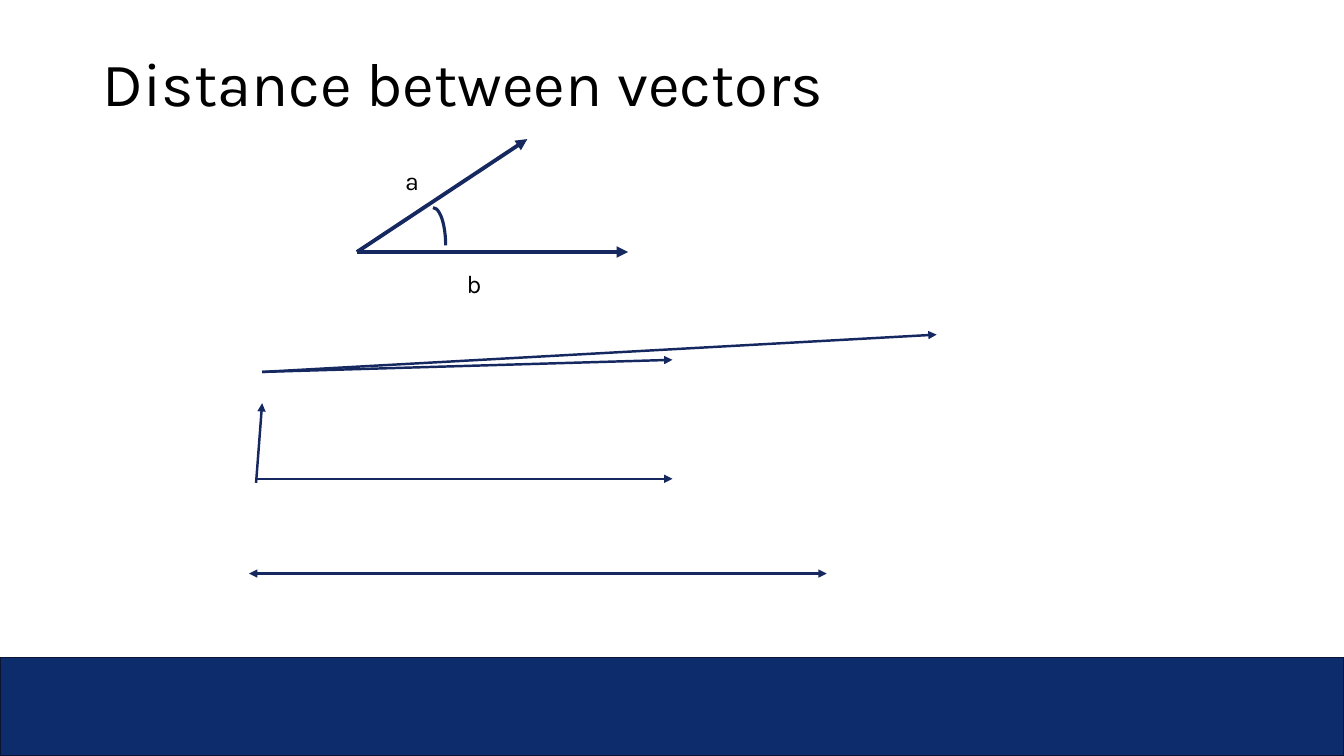
from lxml.etree import SubElement
from pptx import Presentation
from pptx.dml.color import RGBColor
from pptx.enum.shapes import MSO_CONNECTOR, MSO_SHAPE
from pptx.enum.text import MSO_ANCHOR, MSO_AUTO_SIZE, PP_ALIGN
from pptx.oxml.ns import qn
from pptx.util import Inches, Pt

TITLE = "Distance between vectors"
COLORS = {"band": "0D2C6C", "edge": "0B1430", "vector": "162860", "text": "000000"}
FONT = "Karla"
GROUPS = [
    {"width": 2.75,
     "arrows": [((3.54, 2.5), (5.23, 1.38)), ((3.54, 2.5), (6.23, 2.5))],
     "arcs": [(4.17, 2.06, 0.25, 0.75)],
     "labels": [("a", 3.92, 1.59), ("b", 4.53, 2.61)]},
    {"width": 1.75,
     "arrows": [((2.6, 3.69), (9.29, 3.32)), ((2.6, 3.69), (6.67, 3.57))]},
    {"width": 1.75,
     "arrows": [((2.54, 4.75), (6.67, 4.75)), ((2.54, 4.79), (2.6, 4))]},
    {"width": 1.75,
     "arrows": [((4.07, 5.69), (8.2, 5.69)), ((4.26, 5.69), (2.47, 5.69))]},
]


def color(name):
    return RGBColor.from_string(COLORS[name])


def inches(*values):
    return [Inches(value) for value in values]


def stroke(shape, name, width):
    shape.line.color.rgb = color(name)
    shape.line.width = Pt(width)


def write(frame, text, size):
    frame.text = text
    style = {"name": FONT, "size": Pt(size)}
    font = frame.paragraphs[0].runs[0].font
    for key, value in style.items():
        setattr(font, key, value)
    font.color.rgb = color("text")
    frame.paragraphs[0].alignment = PP_ALIGN.LEFT


def arrow(shapes, start, end, width):
    line = shapes.add_connector(MSO_CONNECTOR.STRAIGHT, *inches(*start, *end))
    stroke(line, "vector", width)
    SubElement(line.line._get_or_add_ln(), qn("a:tailEnd"), type="triangle")
    SubElement(line._element.spPr, qn("a:effectLst"))


def arc(shapes, box):
    shape = shapes.add_shape(MSO_SHAPE.ARC, *inches(*box))
    shape.shadow.inherit = False
    shape.fill.background()
    stroke(shape, "vector", 2.25)


def label(shapes, text, left, top):
    frame = shapes.add_textbox(*inches(left, top, 0.38, 0.4)).text_frame
    frame.word_wrap = True
    frame.auto_size = MSO_AUTO_SIZE.SHAPE_TO_FIT_TEXT
    write(frame, text, 18)


def main():
    deck = Presentation()
    deck.slide_width, deck.slide_height = inches(13.33, 7.5)
    slide = deck.slides.add_slide(deck.slide_layouts[5])

    band = slide.shapes.add_shape(MSO_SHAPE.RECTANGLE, *inches(0, 6.52, 13.33, 0.98))
    band.shadow.inherit = False
    band.fill.solid()
    band.fill.fore_color.rgb = color("band")
    stroke(band, "edge", 1)

    title = slide.shapes.title
    title.left, title.top, title.width, title.height = inches(0.92, 0.4, 11.5, 0.91)
    frame = title.text_frame
    write(frame, TITLE, 44)
    frame.vertical_anchor = MSO_ANCHOR.MIDDLE
    frame.paragraphs[0].line_spacing = 0.9

    for group in GROUPS:
        shapes = slide.shapes.add_group_shape().shapes
        for start, end in group["arrows"]:
            arrow(shapes, start, end, group["width"])
        for box in group.get("arcs", []):
            arc(shapes, box)
        for item in group.get("labels", []):
            label(shapes, *item)

    deck.save("out.pptx")


if __name__ == "__main__":
    main()
